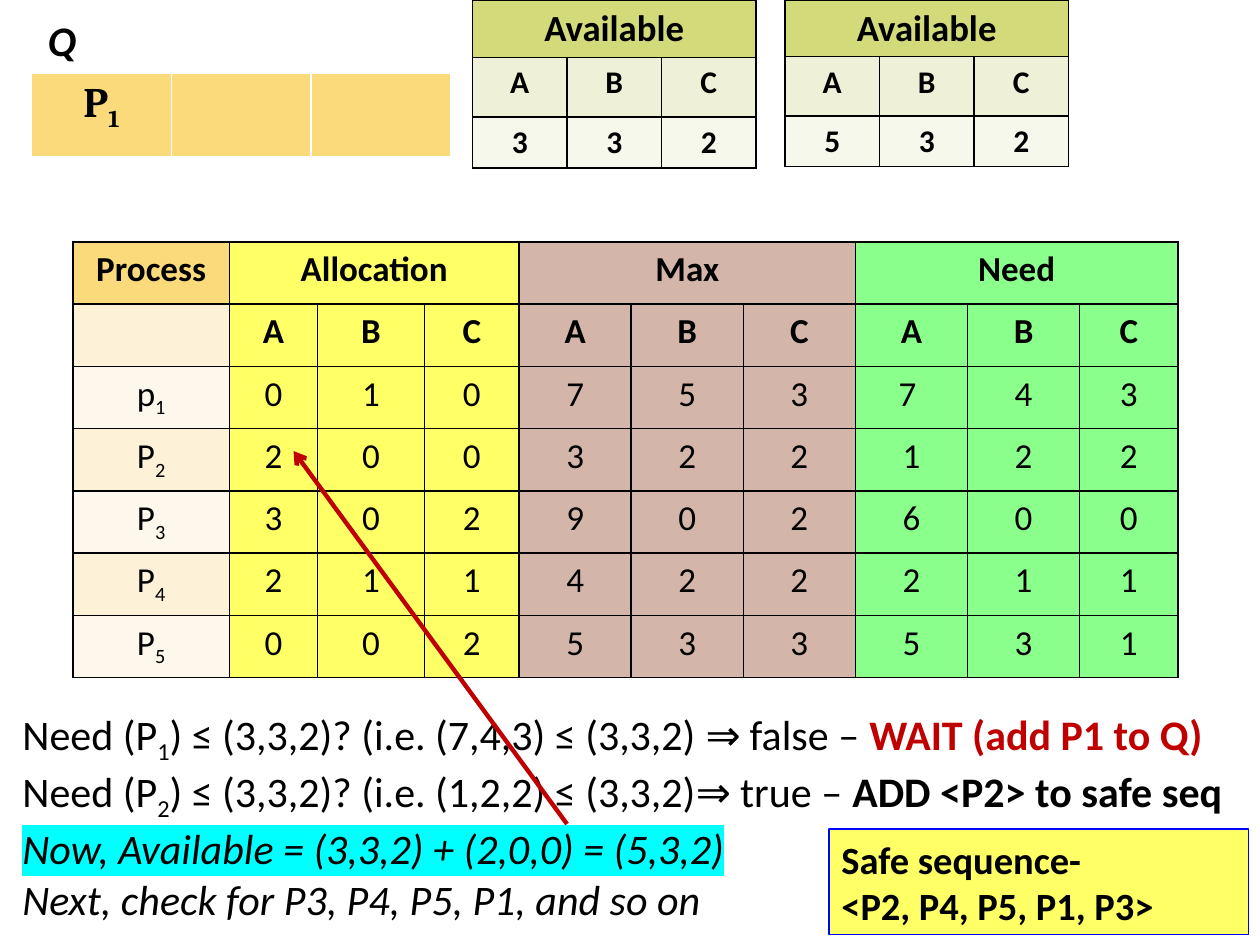
from pptx import Presentation
from pptx.dml.color import RGBColor
from pptx.enum.shapes import MSO_CONNECTOR as Link, MSO_SHAPE as Shape
from pptx.enum.text import MSO_AUTO_SIZE as Fit, PP_ALIGN as Align
from pptx.oxml import parse_xml
from pptx.oxml.ns import nsdecls
from pptx.util import Inches, Pt

BLACK, WHITE, RED, CYAN = "000000", "FFFFFF", "C00000", "00FFFF"
YELLOW, BROWN, GREEN, GOLD = "FFFF66", "D4B5AA", "8BFF8B", "FADA7A"
SUB = {"sub": True}


def hue(code):
    return RGBColor.from_string(code)


def node(tag, body="", attrs=""):
    return parse_xml(f'<a:{tag} {nsdecls("a")} {attrs}>{body}</a:{tag}>')


def write(para, runs, align=None, **base):
    para.alignment = align
    for text, extra in runs:
        form = {"name": "Calibri", "bold": False, **base, **extra}
        ink, sub, mark = (form.pop(key, None) for key in ("ink", "sub", "mark"))
        run = para.add_run()
        run.text = text
        run.font.color.rgb = hue(ink or BLACK)
        props = run._r.get_or_add_rPr()
        if mark:
            props.append(node("highlight", f'<a:srgbClr val="{mark}"/>'))
        if sub:
            props.set("baseline", "-25000")
        for key, val in form.items():
            setattr(run.font, key, val)


def edge(cell, ink, base):
    props = cell._tc.get_or_add_tcPr()
    for side in "LRTB":
        wide = Pt(base if side == "B" else 1)
        paint = f'<a:solidFill><a:srgbClr val="{ink}"/></a:solidFill>'
        props.append(node("ln" + side, paint, f'w="{wide}"'))


def grid(slide, box, cols, count, ink=BLACK, base=1):
    table = slide.shapes.add_table(count, len(cols), *map(Inches, box)).table
    table.first_row = table.horz_banding = False
    for col, wide in zip(table.columns, cols):
        col.width = Inches(wide)
    for cell in table.iter_cells():
        edge(cell, ink, base)
    return table


def fill(cell, runs, paint, **form):
    cell.fill.solid()
    cell.fill.fore_color.rgb = hue(paint)
    write(cell.text_frame.paragraphs[0], runs, Align.CENTER, **form)


def head(table, col, text, paint, size):
    fill(table.cell(0, col), [(text, {})], paint, size=Pt(size), bold=True)
    table.cell(0, col).merge(table.cell(0, col + 2))


def state(slide, box):
    cols = [1.24, 0.7, 0.85, 0.75, 0.89, 0.89, 0.89, 0.89, 0.89, 0.78]
    table = grid(slide, box, cols, 7)
    groups = [("Allocation", YELLOW), ("Max", BROWN), ("Need", GREEN)]
    fill(table.cell(0, 0), [("Process", {})], GOLD, size=Pt(20), bold=True)
    for num, (text, paint) in enumerate(groups):
        head(table, 1 + 3 * num, text, paint, 20)
    rows = [
        ("", "ABC" * 3),
        ("p1", ["0", "1", "0", "7", "5", "3", "7 ", "4", "3"]),
        ("P2", "200322122"),
        ("P3", "302902600"),
        ("P4", "211422211"),
        ("P5", "002533531"),
    ]
    for row, (name, vals) in enumerate(rows, 1):
        label = [(name[0], {}), (name[1], SUB)] if name else []
        fill(table.cell(row, 0), label, "FDF1D7" if row % 2 else "FEF8EC", size=Pt(20))
        for col, val in enumerate(vals):
            fill(table.cell(row, col + 1), [(val, {})], groups[col // 3][1],
                 size=Pt(20), bold=row == 1)


def stock(slide, box, vals):
    table = grid(slide, box, [0.75] * 3, 3)
    for row, high in zip(table.rows, (0.45, 0.47, 0.4)):
        row.height = Inches(high)
    head(table, 0, "Available", "D2DA7A", 21)
    for row, (texts, paint) in enumerate([("ABC", "EEF1D7"), (vals, "F7F8EC")], 1):
        for col, text in enumerate(texts):
            fill(table.cell(row, col), [(text, {})], paint, size=Pt(18), bold=True)


def queue(slide, box):
    table = grid(slide, box, [1.11] * 3, 1, WHITE, 3)
    for col, runs in enumerate([[("P", {}), ("1", SUB)], [], []]):
        fill(table.cell(0, col), runs, GOLD, name="Cambria", size=Pt(24), bold=True)


def prose(frame, lines, **form):
    frame.word_wrap = True
    frame.auto_size = Fit.SHAPE_TO_FIT_TEXT
    for num, (runs, align) in enumerate(lines):
        para = frame.add_paragraph() if num else frame.paragraphs[0]
        write(para, runs, align, **form)


def note(slide, box, lines, **form):
    prose(slide.shapes.add_textbox(*map(Inches, box)).text_frame, lines, **form)


def steps(slide, box):
    left, slant = Align.LEFT, {"italic": True}
    note(slide, box, [
        ([("Need (P", {}), ("1", SUB),
          (") ≤ (3,3,2)? (i.e. (7,4,3) ≤ (3,3,2) ⇒ false – ", {}),
          ("WAIT (add P1 to Q)", {"ink": RED, "bold": True})], left),
        ([("Need (P", {}), ("2", SUB),
          (") ≤ (3,3,2)? (i.e. (1,2,2) ≤ (3,3,2)⇒ true –", {}),
          (" ADD <P2> to safe seq", {"bold": True})], Align.JUSTIFY),
        ([("Now, Available = (3,3,2) + (2,0,0) = (5,3,2)", {**slant, "mark": CYAN})], left),
        ([("Next, check for P3, P4, P5, P1, and so on", slant)], left),
    ], size=Pt(24))


def safe(slide, box):
    card = slide.shapes.add_shape(Shape.RECTANGLE, *map(Inches, box))
    card.shadow.inherit = False
    card.fill.solid()
    card.fill.fore_color.rgb = hue(YELLOW)
    card.line.color.rgb = hue("0000FF")
    card.line.width = Pt(0.75)
    texts = ["Safe sequence-", "<P2, P4, P5, P1, P3>"]
    prose(card.text_frame, [([(text, {})], Align.LEFT) for text in texts],
          size=Pt(22), bold=True)


def arrow(slide, ends):
    line = slide.shapes.add_connector(Link.STRAIGHT, *map(Inches, ends))
    line.line.color.rgb = hue(RED)
    line.line.width = Pt(2.5)
    line.line._get_or_add_ln().append(node("tailEnd", attrs='type="arrow"'))
    line._element.spPr.append(node("effectLst"))


def main():
    deck = Presentation()
    deck.slide_width, deck.slide_height = Inches(10), Inches(7.5)
    slide = deck.slides.add_slide(deck.slide_layouts[6])
    state(slide, (0.58, 1.92, 8.75, 3.46))
    stock(slide, (3.75, 0, 2.25, 1.32), "332")
    steps(slide, (0.08, 5.57, 9.83, 2.12))
    safe(slide, (6.58, 6.58, 3.33, 0.84))
    arrow(slide, (4.5, 6.54, 2.33, 3.58))
    stock(slide, (6.23, 0, 2.25, 1.32), "532")
    queue(slide, (0.25, 0.58, 3.33, 0.68))
    note(slide, (0.28, 0.07, 1.47, 0.5), [([("Q", {})], Align.LEFT)],
         size=Pt(24), bold=True, italic=True)
    deck.save("out.pptx")


if __name__ == "__main__":
    main()
